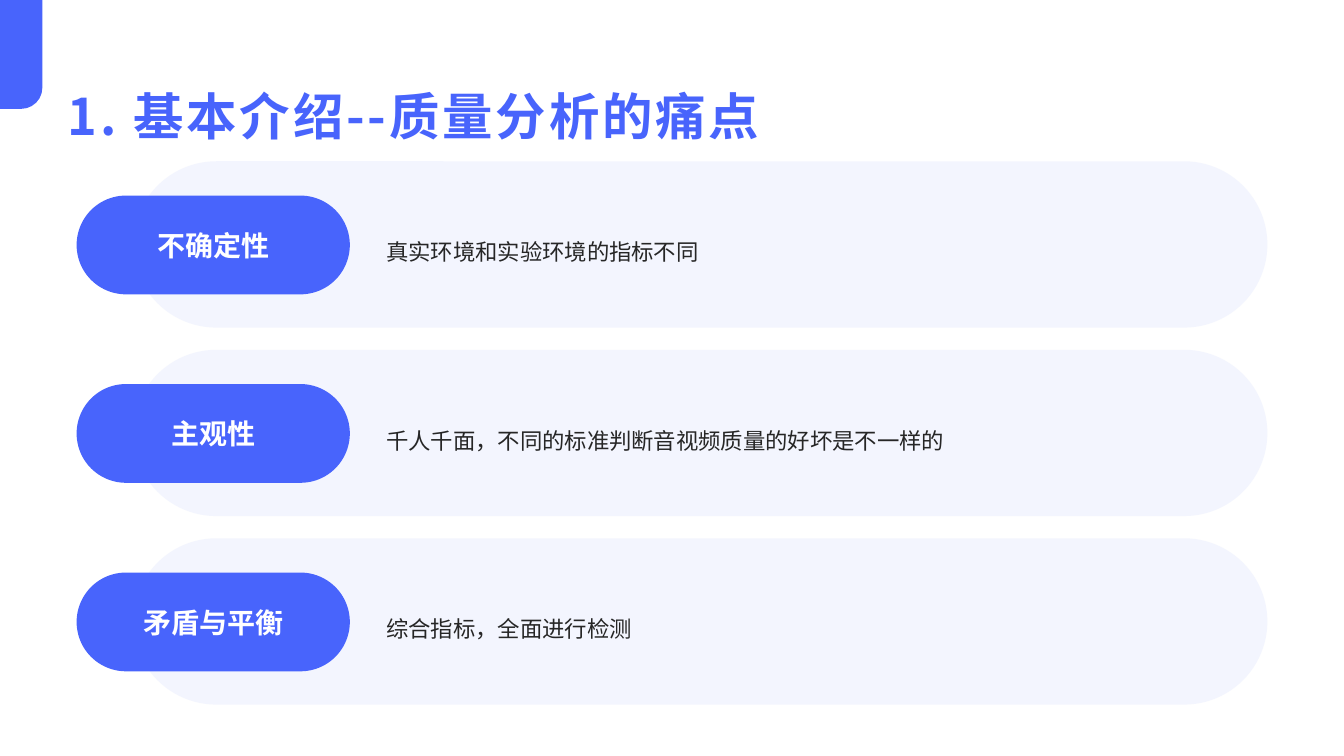
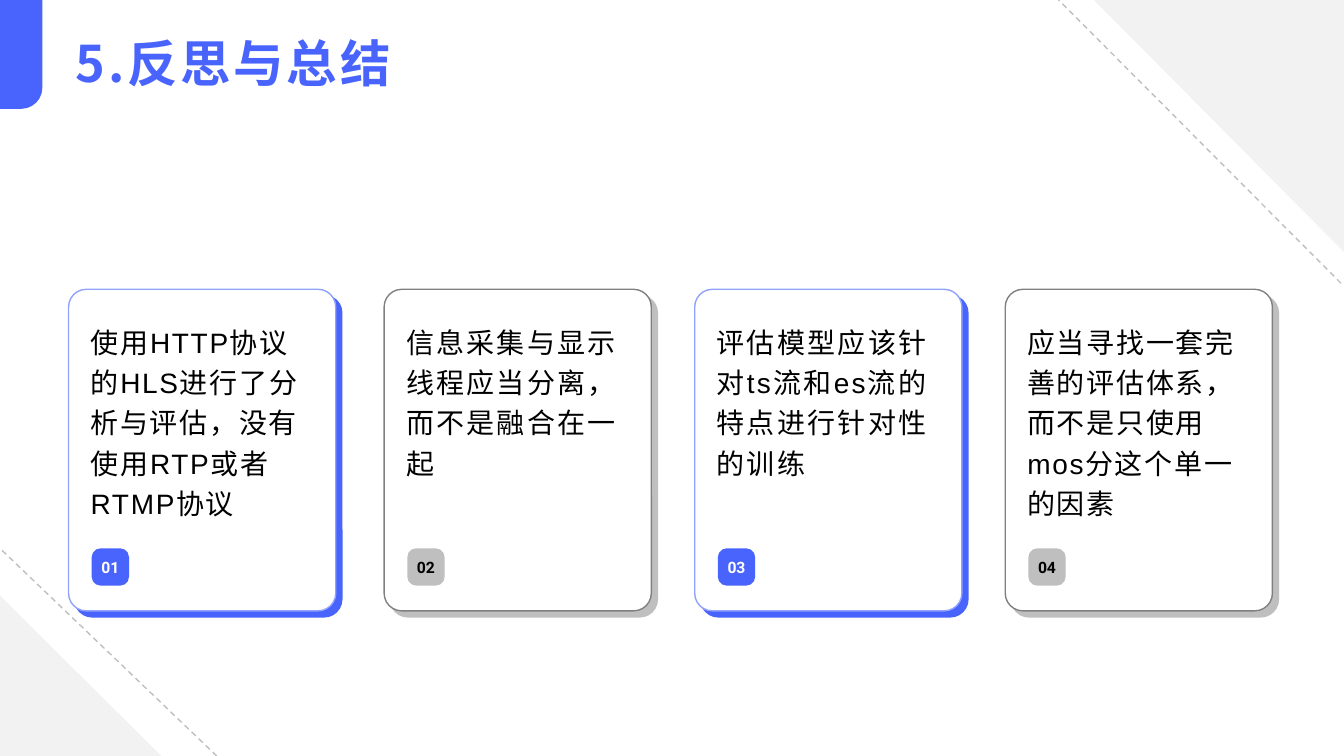
import lxml.etree
import pptx
import pptx.dml.color
import pptx.enum.dml
import pptx.enum.shapes
import pptx.enum.text
import pptx.oxml.ns
import pptx.util

Inches, Pt = pptx.util.Inches, pptx.util.Pt
SHAPE = pptx.enum.shapes.MSO_SHAPE
ALIGN = pptx.enum.text.PP_ALIGN
ANCHOR = pptx.enum.text.MSO_ANCHOR

# Content
POINTS = [
    ("不确定性", "真实环境和实验环境的指标不同"),
    ("主观性", "千人千面，不同的标准判断音视频质量的好坏是不一样的"),
    ("矛盾与平衡", "综合指标，全面进行检测"),
]
# Card left edge, letter spacing, text
CARDS = [
    (0.68, 1.2, "使用HTTP协议的HLS进行了分析与评估，没有使用RTP或者RTMP协议"),
    (3.81, 1.6, "信息采集与显示线程应当分离，而不是融合在一起"),
    (6.89, 1.6, "评估模型应该针对ts流和es流的特点进行针对性的训练"),
    (9.97, 1.2, "应当寻找一套完善的评估体系，而不是只使用mos分这个单一的因素"),
]

# Shared look
COLORS = {
    "blue": "4864FC", "pale": "DAE0FE", "edge": "91A2FD", "white": "FFFFFF",
    "black": "000000", "ink": "262626", "gray": "BFBFBF", "dark": "808080",
    "light": "F2F2F2",
}
CJK = "Noto Sans CJK SC"
TITLE = {"name": CJK, "size": Pt(36), "bold": True}
LABEL = {"name": "Roboto", "size": Pt(20), "bold": True}
BODY = {"name": "Roboto", "size": Pt(16), "bold": False}
NOTE = {"name": "Arial", "size": Pt(20), "bold": False}
BADGE = {"name": "Roboto", "size": Pt(11.2), "bold": True}
THEMES = [
    {"back": "blue", "edge": "edge", "num": "white"},
    {"back": "gray", "edge": "dark", "num": "black"},
]


def rgb(key):
    return pptx.dml.color.RGBColor.from_string(COLORS[key])


def sub(parent, tag, **attrs):
    return lxml.etree.SubElement(parent, pptx.oxml.ns.qn(tag), **attrs)


def write(shape, text, style, color, gap=0, lines=None, align=ALIGN.LEFT,
          anchor=ANCHOR.MIDDLE, pads=(0, 0, 0, 0), wrap=True):
    frame = shape.text_frame
    frame.auto_size = pptx.enum.text.MSO_AUTO_SIZE.NONE
    frame.word_wrap = wrap
    frame.vertical_anchor = anchor
    for side, pad in zip(("left", "top", "right", "bottom"), pads):
        setattr(frame, "margin_" + side, Inches(pad))
    para = frame.paragraphs[0]
    para.alignment, para.line_spacing = align, lines
    run = para.add_run()
    run.text = text
    for key, value in style.items():
        setattr(run.font, key, value)
    run.font.color.rgb = rgb(color)
    props = run.font._element
    sub(props, "a:ea", typeface=CJK)
    if gap:
        props.set("spc", str(round(gap * 100)))


def paint(shape, fill, line=None):
    shape.shadow.inherit = False
    shape.fill.solid()
    shape.fill.fore_color.rgb = rgb(fill)
    if line:
        shape.line.color.rgb = rgb(line)
        shape.line.width = Pt(1)
    else:
        shape.line.fill.background()
    return shape


def block(slide, kind, box, fill, line=None, adj=None):
    shape = slide.shapes.add_shape(kind, *map(Inches, box))
    if adj is not None:
        shape.adjustments[0] = adj
    return paint(shape, fill, line)


def label(slide, box, *args, **opts):
    write(slide.shapes.add_textbox(*map(Inches, box)), *args, **opts)


def dash(slide, *ends):
    line = slide.shapes.add_connector(
        pptx.enum.shapes.MSO_CONNECTOR.STRAIGHT, *map(Inches, ends))
    line.line.color.rgb = rgb("gray")
    line.line.width = Pt(1)
    line.line.dash_style = pptx.enum.dml.MSO_LINE.DASH
    sub(line._element.spPr, "a:effectLst")


def start(deck, title, box, **opts):
    slide = deck.slides.add_slide(deck.slide_layouts[5])
    head = slide.shapes.title
    head.left, head.top, head.width, head.height = map(Inches, box)
    write(head, title, TITLE, "blue", gap=2, **opts)
    return slide


def add_tab(slide):
    # Corner tab, kept on the layout that all slides share
    tab = block(slide, SHAPE.ROUND_1_RECTANGLE, (-0.33, 0.33, 1.08, 0.42),
                "blue", adj=0.5)
    tab.rotation = 90
    slide.slide_layout.shapes._spTree.append(tab._element)


def add_points(deck):
    slide = start(deck, "1. 基本介绍--质量分析的痛点", (0.67, 0.67, 12, 0.77),
                  anchor=ANCHOR.BOTTOM)
    add_tab(slide)
    for i, (name, text) in enumerate(POINTS):
        top = 1.6 + 1.87 * i
        band = block(slide, SHAPE.ROUNDED_RECTANGLE, (1.32, top, 11.25, 1.65),
                     "pale", adj=0.5)
        tint = band._element.spPr.find(".//" + pptx.oxml.ns.qn("a:srgbClr"))
        sub(tint, "a:alpha", val="30000")
        pill = block(slide, SHAPE.ROUNDED_RECTANGLE,
                     (0.76, top + 0.34, 2.71, 0.98), "blue", adj=0.5)
        write(pill, name, LABEL, "white", align=ALIGN.CENTER)
        label(slide, (3.83, top + 0.12, 8.38, 1.42), text, BODY, "ink",
              lines=1.5)


def add_cards(deck):
    slide = start(deck, "5.反思与总结", (0.68, 0.36, 12, 0.83), lines=0.9,
                  anchor=ANCHOR.TOP, pads=(0.07, 0.03, 0.07, 0.03))
    # Corner decoration
    dash(slide, 13.3, 2.81, 10.5, 0)
    path = slide.shapes.build_freeform(Inches(10.85), 0)
    path.add_line_segments([(Inches(13.33), 0), (Inches(13.33), Inches(2.5))])
    paint(path.convert_to_shape(), "light")
    block(slide, SHAPE.RIGHT_TRIANGLE, (0, 5.91, 1.6, 1.59), "light")
    dash(slide, 2.15, 7.5, 0.01, 5.45)
    # Cards
    top = 2.87
    for i, (left, gap, text) in enumerate(CARDS):
        theme = THEMES[i % 2]
        for shift, fill, line in ((0.06, theme["back"], theme["back"]),
                                  (0, "white", theme["edge"])):
            block(slide, SHAPE.ROUNDED_RECTANGLE,
                  (left + shift, top + shift, 2.65, 3.19), fill, line, 0.066)
        label(slide, (left + 0.12, top + 0.24, 2.41, 2.16), text, NOTE,
              "black", gap=gap, lines=1.2, anchor=ANCHOR.TOP,
              pads=(0.1, 0.05, 0.1, 0.05))
        badge = block(slide, SHAPE.ROUNDED_RECTANGLE,
                      (left + 0.23, top + 2.57, 0.37, 0.37), theme["back"],
                      adj=0.238)
        write(badge, f"{i + 1:02}", BADGE, theme["num"], align=ALIGN.CENTER,
              wrap=False)


def main():
    deck = pptx.Presentation()
    deck.slide_width, deck.slide_height = Inches(13.33), Inches(7.5)
    add_points(deck)
    add_cards(deck)
    deck.save("out.pptx")


if __name__ == "__main__":
    main()
